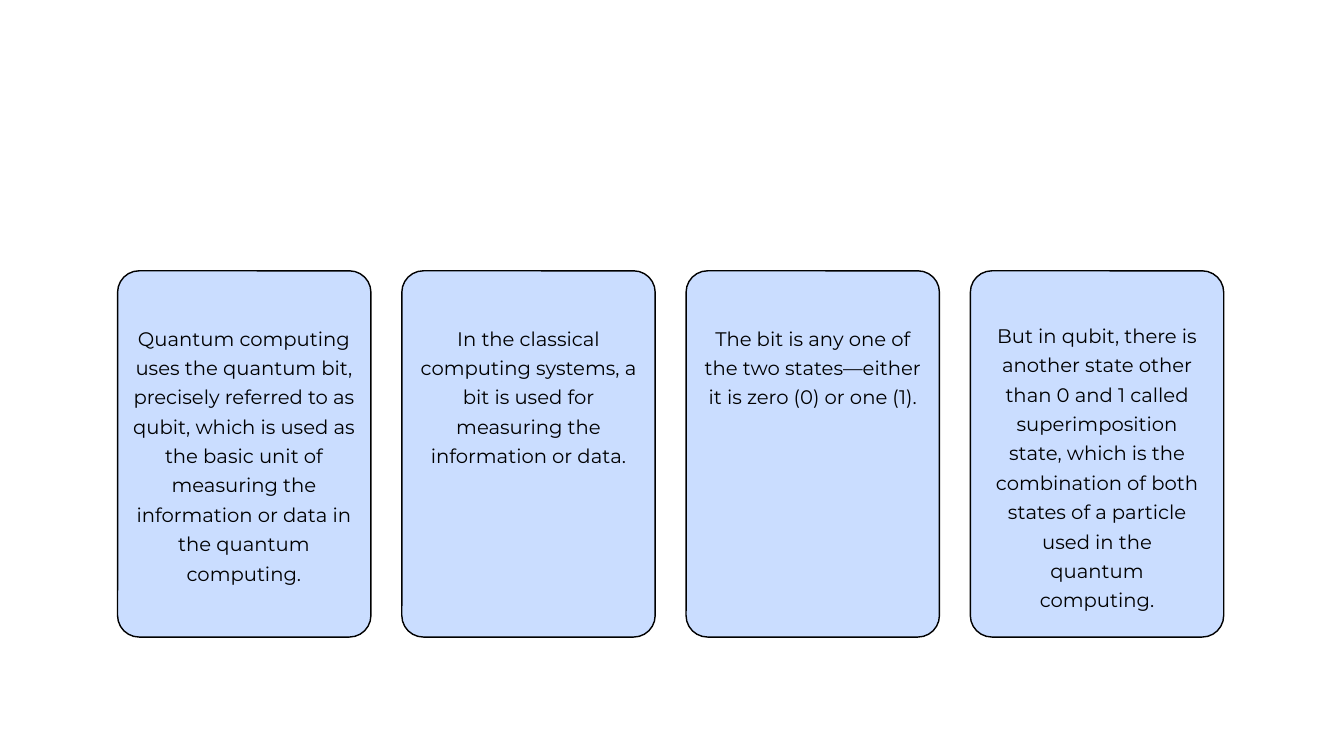
import pptx
import pptx.dml.color
import pptx.enum.shapes
import pptx.enum.text
import pptx.util

EMU_PER_PX = 9144
CARD_LEFT, CARD_TOP, CARD_WIDTH, CARD_HEIGHT = 175, 403, 377, 545
CARD_PITCH = 423
CARD_RADIUS = 32

CARDS = [
    ("Quantum computing uses the quantum bit, precisely referred to as qubit, "
     "which is used as the basic unit of measuring the information or data in "
     "the quantum computing.", 477, 334, 391),
    ("In the classical computing systems, a bit is used for measuring the "
     "information or data.", 477, 333, 216),
    ("The bit is any one of the two states—either it is zero (0) or one (1).",
     477, 333, 129),
    ("But in qubit, there is another state other than 0 and 1 called "
     "superimposition state, which is the combination of both states of a "
     "particle used in the quantum computing.", 473, 309, 435),
]


def px(value):
    return pptx.util.Emu(round(value * EMU_PER_PX))


def color(hex_string):
    return pptx.dml.color.RGBColor.from_string(hex_string)


def add_card(page, left):
    card = page.shapes.add_shape(
        pptx.enum.shapes.MSO_SHAPE.ROUNDED_RECTANGLE,
        px(left), px(CARD_TOP), px(CARD_WIDTH), px(CARD_HEIGHT))
    card.adjustments[0] = CARD_RADIUS / CARD_WIDTH
    card.shadow.inherit = False
    card.fill.solid()
    card.fill.fore_color.rgb = color("CADDFF")
    card.line.color.rgb = color("000000")
    card.line.width = pptx.util.Pt(1.5)


def add_text(page, text, *, left, top, width, height,
             size=21, leading=31.5, font="Montserrat", fill="000000"):
    box = page.shapes.add_textbox(px(left), px(top), px(width), px(height))
    frame = box.text_frame
    frame.word_wrap = True
    frame.margin_left = frame.margin_right = 0
    frame.margin_top = frame.margin_bottom = 0
    para = frame.paragraphs[0]
    para.alignment = pptx.enum.text.PP_ALIGN.CENTER
    para.line_spacing = pptx.util.Pt(leading)
    span = para.add_run()
    span.text = text
    span.font.size = pptx.util.Pt(size)
    span.font.name = font
    span.font.color.rgb = color(fill)


def main():
    deck = pptx.Presentation()
    deck.slide_width = px(2000)
    deck.slide_height = px(1125)
    page = deck.slides.add_slide(deck.slide_layouts[6])
    for index, (text, top, width, height) in enumerate(CARDS):
        card_left = CARD_LEFT + index * CARD_PITCH
        add_card(page, card_left)
        text_left = card_left + (CARD_WIDTH - width) // 2
        add_text(page, text, left=text_left, top=top, width=width, height=height)
    deck.save("out.pptx")


if __name__ == "__main__":
    main()
